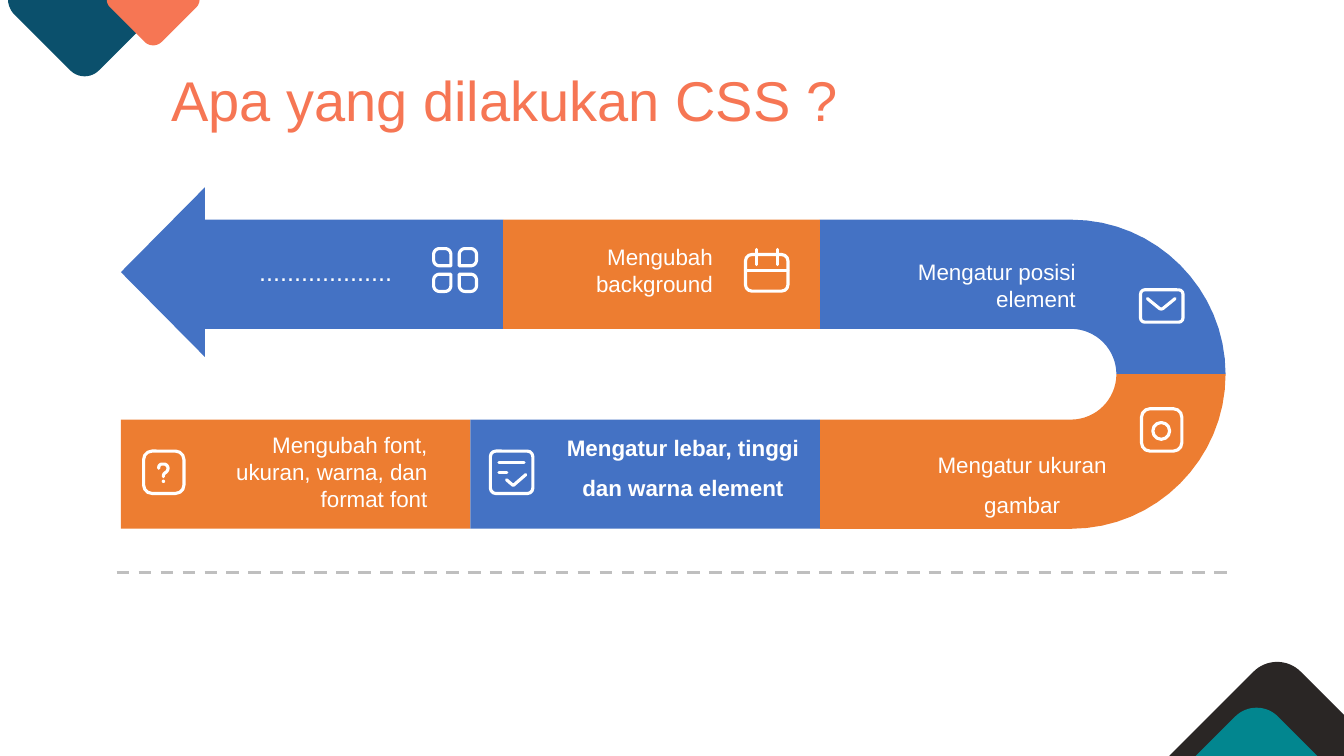
from itertools import product
from math import hypot

from lxml.etree import SubElement
from pptx import Presentation
from pptx.dml.color import RGBColor
from pptx.enum.dml import MSO_LINE
from pptx.enum.shapes import MSO_CONNECTOR, MSO_SHAPE
from pptx.enum.text import MSO_ANCHOR, MSO_AUTO_SIZE, PP_ALIGN
from pptx.oxml.ns import qn
from pptx.util import Inches, Pt

COLUMNS, ROWS = 160, 90
BLUE, ORANGE, CORAL, WHITE = "4472C4", "ED7D31", "F67654", "FFFFFF"
NAVY, CHARCOAL, TEAL, GREY = "0B506C", "2A2625", "02868F", "BFBFBF"


def color(code):
    return RGBColor.from_string(code)


def round_corner(before, corner, after, cut, steps=16):
    def towards(other):
        reach = cut / hypot(other[0] - corner[0], other[1] - corner[1])
        return [c + (o - c) * reach for c, o in zip(corner, other)]

    start, end = towards(before), towards(after)
    pull_in, pull_out = ([e + (c - e) * 0.55 for e, c in zip(edge, corner)]
                         for edge in (start, end))
    for step in range(steps + 1):
        t = step / steps
        u = 1 - t
        yield tuple(u**3 * a + 3 * u * u * t * b + 3 * u * t * t * c + t**3 * d
                    for a, b, c, d in zip(start, pull_in, pull_out, end))


class SlideBuilder:
    font = "Arial"
    stroke = 2.25

    def __init__(self, deck):
        self.slide = deck.slides.add_slide(deck.slide_layouts[5])
        self.column = deck.slide_width / COLUMNS
        self.row = deck.slide_height / ROWS

    def place(self, x, y):
        return round(x * self.column), round(y * self.row)

    def outline(self, item, code):
        item.line.color.rgb = color(code)
        item.line.width = Pt(self.stroke)
        item.element.spPr.find(qn("a:ln")).set("cap", "rnd")

    def paint(self, item, fill):
        item.shadow.inherit = False
        if fill:
            item.fill.solid()
            item.fill.fore_color.rgb = color(fill)
            item.line.fill.background()
        else:
            item.fill.background()
            self.outline(item, WHITE)

    def preset(self, kind, x, y, width, height, fill=None):
        item = self.slide.shapes.add_shape(
            kind, *self.place(x, y), *self.place(width, height))
        self.paint(item, fill)
        return item

    def frame(self, x, y, width, height, radius):
        item = self.preset(MSO_SHAPE.ROUNDED_RECTANGLE, x, y, width, height)
        item.adjustments[0] = radius / min(width, height)

    def outlined_shape(self, corners, fill=None, close=True):
        points = []
        for i, (x, y, *cut) in enumerate(corners):
            if cut:
                after = corners[(i + 1) % len(corners)]
                points += round_corner(corners[i - 1][:2], (x, y), after[:2], cut[0])
            else:
                points.append((x, y))
        first, *rest = [self.place(*point) for point in points]
        builder = self.slide.shapes.build_freeform(*first)
        builder.add_line_segments(rest, close=close)
        self.paint(builder.convert_to_shape(), fill)

    def rule(self, x1, y1, x2, y2, code=WHITE, dash=None):
        item = self.slide.shapes.add_connector(
            MSO_CONNECTOR.STRAIGHT, *self.place(x1, y1), *self.place(x2, y2))
        self.outline(item, code)
        if dash:
            item.line.dash_style = dash
            item.element.spPr.find(qn("a:ln")).set("cap", "flat")
        SubElement(item.element.spPr, qn("a:effectLst"))

    def set_text(self, frame, text, size, code, align, bold=False, spacing=None):
        frame.word_wrap = True
        frame.auto_size = MSO_AUTO_SIZE.NONE
        frame.vertical_anchor = MSO_ANCHOR.TOP
        frame.text = text
        paragraph = frame.paragraphs[0]
        paragraph.alignment = align
        paragraph.line_spacing = spacing
        paragraph.font.name = self.font
        paragraph.font.size = Pt(size)
        paragraph.font.bold = bold
        paragraph.font.color.rgb = color(code)

    def title(self, text, x, y, width, height):
        heading = self.slide.shapes.title
        heading.left, heading.top = self.place(x, y)
        heading.width, heading.height = self.place(width, height)
        self.set_text(heading.text_frame, text, 40, CORAL, PP_ALIGN.LEFT)

    def label(self, text, x, y, width, height, size=16,
              align=PP_ALIGN.RIGHT, **style):
        box = self.slide.shapes.add_textbox(
            *self.place(x, y), *self.place(width, height))
        self.set_text(box.text_frame, text, size, WHITE, align, **style)


def draw_road(page):
    left, bend, middle, band, gap = 14.4, 97.6, 44.55, 13, 5.4
    centre, arrow_end, head = 127.5, 59.9, 24.4
    outer = gap + band
    upper, lower = middle - outer, middle + gap
    for side, fill in ((-1, BLUE), (1, ORANGE)):
        far, near = middle + side * outer, middle + side * gap
        page.outlined_shape([
            (bend, far), (centre + outer, far, outer), (centre + outer, middle),
            (centre + gap, middle), (centre + gap, near, gap), (bend, near)], fill)
    page.outlined_shape([
        (left, 32.4), (head, 22.3), (head, upper), (arrow_end, upper),
        (arrow_end, upper + band), (head, upper + band), (head, 42.5)], BLUE)
    half = (bend - left) / 2
    for x, y, width, fill in ((arrow_end, upper, bend - arrow_end, ORANGE),
                              (left, lower, half, ORANGE),
                              (left + half, lower, half, BLUE)):
        page.preset(MSO_SHAPE.RECTANGLE, x, y, width, band, fill)


def draw_icons(page):
    for right, down in product((-1, 1), repeat=2):
        page.outlined_shape([(54.18 + right * x, 32.15 + down * y, *cut)
                             for x, y, *cut in ((0.5, 0.5), (2.55, 0.5, 0.7),
                                                (2.55, 2.55, 0.7), (0.5, 2.55, 0.7))])
    for frame in ((88.75, 30.3, 5.05, 4.35, 0.75), (135.78, 34.5, 5.05, 3.85, 0.5),
                  (135.9, 48.66, 4.8, 5.04, 1), (58.38, 53.7, 5.05, 5.05, 0.65),
                  (17.1, 53.7, 4.8, 5.04, 1)):
        page.frame(*frame)
    for mark in ((88.75, 32.2, 93.8, 32.2), (90.05, 29.7, 90.05, 31.5),
                 (92.55, 29.7, 92.55, 31.5), (59.4, 55.02, 62.4, 55.02),
                 (59.4, 56.22, 60.35, 56.22)):
        page.rule(*mark)
    envelope_flap = [(136.6, 35.55), (138.25, 36.9, 0.3), (139.9, 35.55)]
    check = [(60.3, 57.12), (61.1, 57.8, 0.1), (62.6, 56.5)]
    question = [(18.9, 55.75), (18.9, 55.25, 0.4), (20, 55.25, 0.5),
                (20, 56.1, 0.35), (19.45, 56.4, 0.25), (19.45, 56.75)]
    for stroke in (envelope_flap, check, question):
        page.outlined_shape(stroke, close=False)
    page.preset(MSO_SHAPE.OVAL, 137.24, 50.3, 2, 2)
    page.preset(MSO_SHAPE.OVAL, 19.25, 57.1, 0.4, 0.4, WHITE)


def main():
    deck = Presentation()
    deck.slide_width, deck.slide_height = Inches(13.33), Inches(7.5)
    page = SlideBuilder(deck)
    page.rule(13.9, 68.15, 146.05, 68.15, GREY, MSO_LINE.DASH)
    draw_road(page)
    page.label("Mengubah background", 57.72, 28.32, 28.32, 7.68)
    page.label("...................", 19.56, 29.88, 28.32, 4.8, size=18)
    page.label("Mengubah font, ukuran, warna, dan format font",
               22.08, 50.76, 30, 10.92)
    page.label("Mengatur lebar, tinggi dan warna element", 63.6, 49.44, 35.4, 13.68,
               align=PP_ALIGN.CENTER, bold=True, spacing=1.5)
    page.label("Mengatur ukuran gambar", 108.96, 51.48, 25.44, 10.92,
               align=PP_ALIGN.CENTER, spacing=1.5)
    page.label("Mengatur posisi element", 101.64, 30.12, 27.6, 7.68)
    draw_icons(page)
    for centre, half, lip, cut, fill in ((10.08, 9.12, 0.96, 2.4, NAVY),
                                         (18.24, 5.52, 0.48, 1.44, CORAL)):
        start, end = centre - half, centre + half
        page.outlined_shape([(start, 0), (start, lip, lip), (centre, lip + half, cut),
                             (end, lip, lip), (end, 0)], fill)
    page.outlined_shape([(139.2, 90), (152.04, 77.16, 3.96), (160, 85.12),
                         (160, 90)], CHARCOAL)
    page.outlined_shape([(142.36, 90), (149.6, 82.76, 3.6), (156.84, 90)], TEAL)
    page.title("Apa yang dilakukan CSS ?", 19.2, 7.2, 86.88, 9.24)
    deck.save("out.pptx")


if __name__ == "__main__":
    main()
